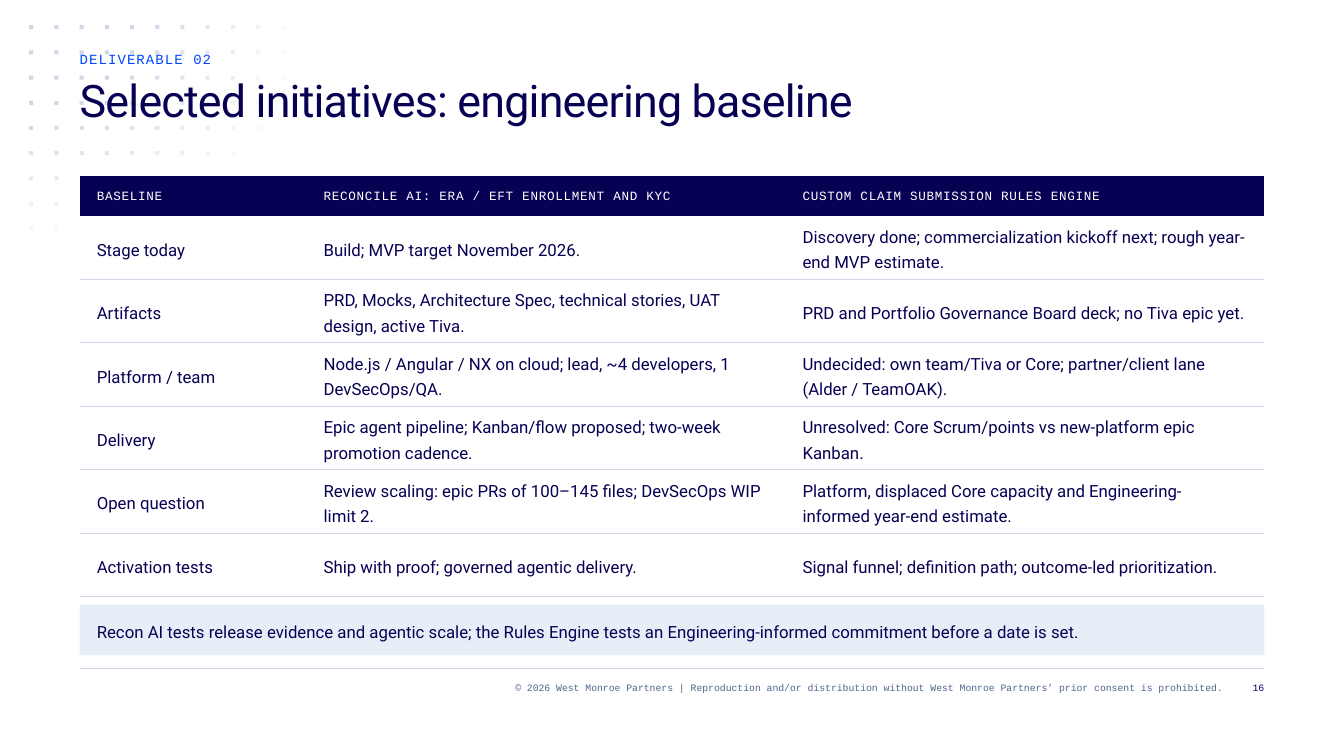
from math import hypot

from pptx import Presentation
from pptx.dml.color import RGBColor
from pptx.enum.shapes import MSO_CONNECTOR, MSO_SHAPE
from pptx.enum.text import MSO_ANCHOR, MSO_AUTO_SIZE, PP_ALIGN
from pptx.oxml import parse_xml
from pptx.oxml.ns import nsdecls, qn
from pptx.util import Inches, Pt

RECT = MSO_SHAPE.RECTANGLE
STRAIGHT = MSO_CONNECTOR.STRAIGHT
TOP, MIDDLE = MSO_ANCHOR.TOP, MSO_ANCHOR.MIDDLE
LEFT, RIGHT = PP_ALIGN.LEFT, PP_ALIGN.RIGHT
NO_FIT = MSO_AUTO_SIZE.NONE
NAVY = RGBColor(0x07, 0x01, 0x54)
BLUE = RGBColor(0x00, 0x47, 0xFF)
RULE = RGBColor(0xCE, 0xD7, 0xE6)
PALE = RGBColor(0xE8, 0xEE, 0xF8)
SLATE = RGBColor(0x50, 0x65, 0x8E)
WHITE = RGBColor(0xFF, 0xFF, 0xFF)
MONO, SANS = "Courier New", "Roboto"
NO_GRID_STYLE = "{2D5ABB26-0587-4C30-8999-92F81FD0307C}"

EYEBROW = "DELIVERABLE 02"
TITLE = "Selected initiatives: engineering baseline"
ROWS = [
    ("BASELINE", "RECONCILE AI: ERA / EFT ENROLLMENT AND KYC",
     "CUSTOM CLAIM SUBMISSION RULES ENGINE"),
    ("Stage today", "Build; MVP target November 2026.",
     "Discovery done; commercialization kickoff next; rough year-end MVP estimate."),
    ("Artifacts",
     "PRD, Mocks, Architecture Spec, technical stories, UAT design, active Tiva.",
     "PRD and Portfolio Governance Board deck; no Tiva epic yet."),
    ("Platform / team",
     "Node.js / Angular / NX on cloud; lead, ~4 developers, 1 DevSecOps/QA.",
     "Undecided: own team/Tiva or Core; partner/client lane (Alder / TeamOAK)."),
    ("Delivery",
     "Epic agent pipeline; Kanban/flow proposed; two-week promotion cadence.",
     "Unresolved: Core Scrum/points vs new-platform epic Kanban."),
    ("Open question",
     "Review scaling: epic PRs of 100–145 files; DevSecOps WIP limit 2.",
     "Platform, displaced Core capacity and Engineering-informed year-end estimate."),
    ("Activation tests", "Ship with proof; governed agentic delivery.",
     "Signal funnel; definition path; outcome-led prioritization."),
]
TAKEAWAY = ("Recon AI tests release evidence and agentic scale; the Rules Engine tests "
            "an Engineering-informed commitment before a date is set.")
FOOTER = ("© 2026 West Monroe Partners | Reproduction and/or distribution without "
          "West Monroe Partners’ prior consent is prohibited.")
PAGE = "16"

MARGIN, WIDTH, PAD = 0.79, 11.75, 0.17
COL_WIDTHS = (2.25, 4.75, 4.75)
HEAD_H, ROW_H = 0.39, 0.63
DOT_COLS, DOT_ROWS, DOT_STEP, DOT_SIZE = 11, 9, 0.25, 0.04
FADE_X, FADE_Y, FADE_GAIN = 11.08, 9.07, 1.53


def write(tf, text, size=12, font=SANS, color=NAVY, line=18, align=LEFT, spacing=0):
    p = tf.paragraphs[0]
    p.alignment = align
    p.line_spacing = Pt(line)
    r = p.add_run()
    r.text = text
    r.font.size = Pt(size)
    r.font.name = font
    r.font.color.rgb = color
    if spacing:
        r.font._element.set("spc", str(round(spacing * 100)))


def place_text(sp, box, text, **fmt):
    sp.left, sp.top, sp.width, sp.height = [Inches(v) for v in box]
    tf = sp.text_frame
    tf.margin_left = tf.margin_top = tf.margin_right = tf.margin_bottom = 0
    tf.word_wrap = True
    tf.auto_size = NO_FIT
    tf.vertical_anchor = TOP
    write(tf, text, **fmt)


def add_text(slide, box, text, **fmt):
    place_text(slide.shapes.add_textbox(0, 0, 0, 0), box, text, **fmt)


def add_rect(slide, box, color, alpha=1):
    sp = slide.shapes.add_shape(RECT, *[Inches(v) for v in box])
    sp.shadow.inherit = False
    sp.fill.solid()
    sp.fill.fore_color.rgb = color
    sp.line.fill.background()
    if alpha < 1:
        clr = sp._element.spPr.find(qn("a:solidFill"))[0]
        clr.append(parse_xml(f'<a:alpha {nsdecls("a")} val="{round(alpha * 100) * 1000}"/>'))


def add_dots(slide):
    for col in range(DOT_COLS):
        for row in range(DOT_ROWS):
            alpha = min(1, FADE_GAIN * (1 - hypot(col / FADE_X, row / FADE_Y)))
            if alpha >= 0.02:
                add_rect(slide, (0.29 + col * DOT_STEP, 0.25 + row * DOT_STEP,
                                 DOT_SIZE, DOT_SIZE), RULE, alpha)


def add_rule(slide, y):
    ln = slide.shapes.add_connector(STRAIGHT, Inches(MARGIN), Inches(y),
                                    Inches(MARGIN + WIDTH), Inches(y))
    ln.line.color.rgb = RULE
    ln.line.width = Pt(0.75)
    ln._element.spPr.append(parse_xml(f'<a:effectLst {nsdecls("a")}/>'))


def add_baseline_table(slide):
    height = HEAD_H + ROW_H * (len(ROWS) - 1)
    table = slide.shapes.add_table(len(ROWS), len(COL_WIDTHS), Inches(MARGIN), Inches(1.75),
                                   Inches(WIDTH), Inches(height)).table
    table.first_row = table.horz_banding = False
    table._tbl.tblPr.find(qn("a:tableStyleId")).text = NO_GRID_STYLE
    for col, width in zip(table.columns, COL_WIDTHS):
        col.width = Inches(width)
    for i, texts in enumerate(ROWS):
        head = i == 0
        table.rows[i].height = Inches(HEAD_H if head else ROW_H)
        for j, text in enumerate(texts):
            cell = table.cell(i, j)
            cell.margin_left = cell.margin_right = Inches(PAD)
            cell.margin_top = cell.margin_bottom = 0
            cell.vertical_anchor = MIDDLE
            cell.fill.solid()
            cell.fill.fore_color.rgb = NAVY if head else WHITE
            if head:
                write(cell.text_frame, text, size=9, font=MONO, color=WHITE,
                      line=12, spacing=0.5)
            else:
                write(cell.text_frame, text)
                cell._tc.get_or_add_tcPr().insert(0, parse_xml(
                    f'<a:lnB {nsdecls("a")} w="{Pt(0.75)}"><a:solidFill>'
                    f'<a:srgbClr val="{RULE}"/></a:solidFill></a:lnB>'))


def main():
    prs = Presentation()
    prs.slide_width, prs.slide_height = Inches(13.33), Inches(7.5)
    slide = prs.slides.add_slide(prs.slide_layouts[5])

    add_rule(slide, 6.63)
    add_dots(slide)
    add_text(slide, (2.38, 6.75, 9.75, 0.25), FOOTER, size=7, font=MONO, color=SLATE,
             line=9, align=RIGHT)
    add_text(slide, (12.21, 6.75, 0.33, 0.25), PAGE, size=7, font=MONO, line=9, align=RIGHT)
    add_baseline_table(slide)
    add_rect(slide, (MARGIN, 6, WIDTH, 0.5), PALE)
    add_text(slide, (MARGIN + PAD, 6.12, WIDTH - 2 * PAD, 0.25), TAKEAWAY)

    title = slide.shapes.title
    place_text(title, (MARGIN, 0.75, 10.25, 1), TITLE, size=32, line=36, spacing=-0.6)
    slide.shapes.element.append(title.element)
    add_text(slide, (MARGIN, 0.5, 10.25, 0.25), EYEBROW, size=10, font=MONO, color=BLUE,
             line=12, spacing=0.8)
    prs.save("out.pptx")


if __name__ == "__main__":
    main()
